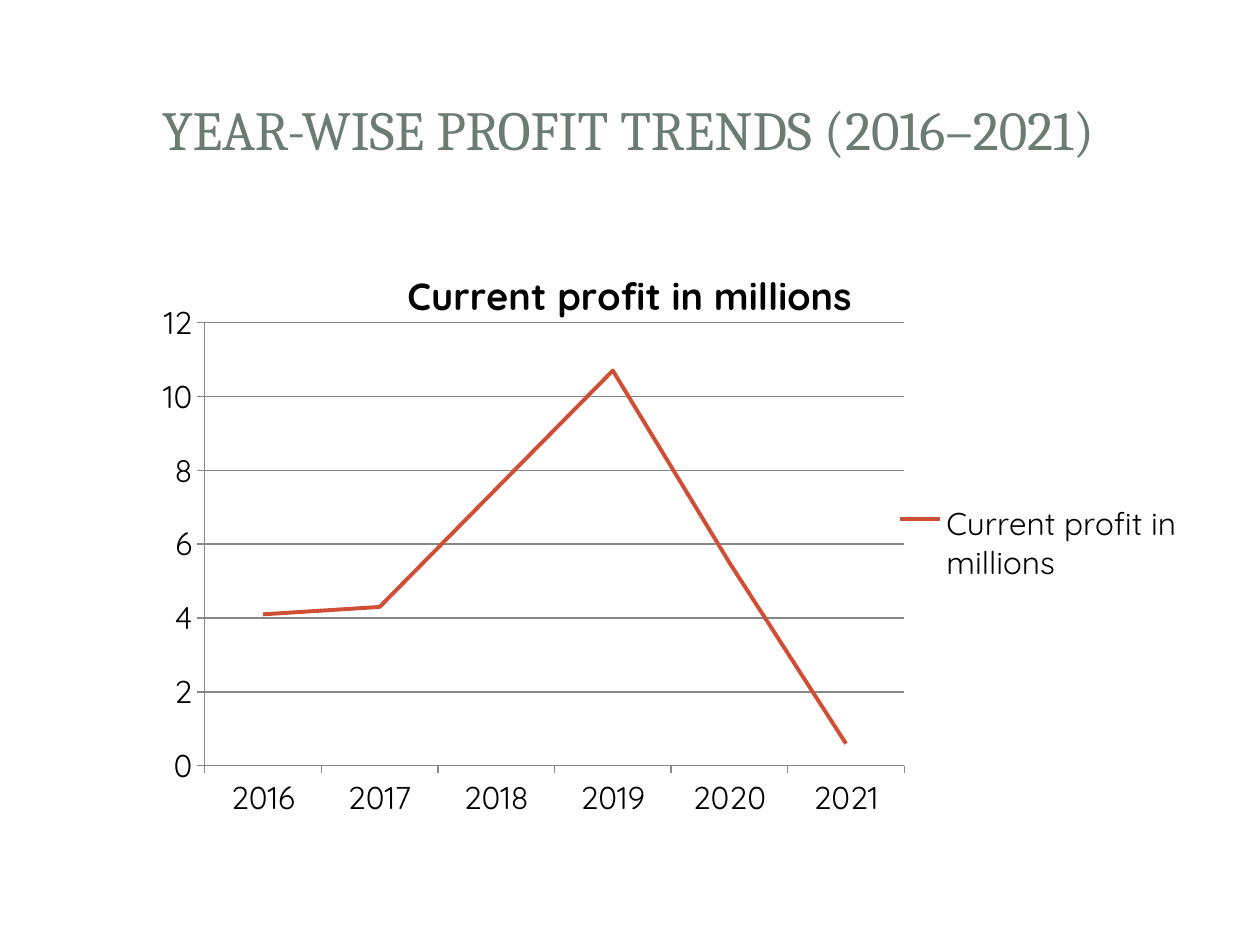
import lxml.etree
import pptx
import pptx.chart.data
import pptx.dml.color
import pptx.enum.chart
import pptx.enum.shapes
import pptx.enum.text
import pptx.oxml.ns
import pptx.util
from pptx.util import Inches

PROFITS = {"2016": 4.1, "2017": 4.3, "2018": 7.5, "2019": 10.7, "2020": 5.5, "2021": 0.6}
MEASURE = "Current profit in millions"


def color(value):
    return pptx.dml.color.RGBColor.from_string(value)


def style_font(font, name, size, value, bold=False):
    font.name = name
    font.size = pptx.util.Pt(size)
    font.bold = bold
    font.color.rgb = color(value)


def style_line(line, value, width):
    line.color.rgb = color(value)
    line.width = pptx.util.Pt(width)


def place_panel(page, left, top, width, height, opacity=100):
    panel = page.shapes.add_shape(
        pptx.enum.shapes.MSO_SHAPE.RECTANGLE, left, top, width, height)
    panel.shadow.inherit = False
    panel.line.fill.background()
    panel.fill.solid()
    panel.fill.fore_color.rgb = color("FFFFFF")
    if opacity < 100:
        fill_color = panel._element.spPr.find(".//" + pptx.oxml.ns.qn("a:srgbClr"))
        alpha = lxml.etree.SubElement(fill_color, pptx.oxml.ns.qn("a:alpha"))
        alpha.set("val", str(opacity * 1000))


def place_title(page, left, top, width, height):
    title = page.shapes.title
    page.shapes._spTree.append(title._element)
    title.left, title.top, title.width, title.height = left, top, width, height
    frame = title.text_frame
    frame.text = "YEAR-WISE PROFIT TRENDS (2016–2021)"
    frame.word_wrap = True
    frame.vertical_anchor = pptx.enum.text.MSO_ANCHOR.MIDDLE
    para = frame.paragraphs[0]
    para.alignment = pptx.enum.text.PP_ALIGN.CENTER
    style_font(para.runs[0].font, "Cambria", 31.5, "6B7D72")


def set_plot_layout(chart, left, top, width, height):
    plot_area = chart._chartSpace.chart.plotArea
    for old_layout in plot_area.findall(pptx.oxml.ns.qn("c:layout")):
        plot_area.remove(old_layout)
    layout = lxml.etree.Element(pptx.oxml.ns.qn("c:layout"))
    manual = lxml.etree.SubElement(layout, pptx.oxml.ns.qn("c:manualLayout"))
    settings = {"layoutTarget": "inner", "xMode": "edge", "yMode": "edge",
                "x": left, "y": top, "w": width, "h": height}
    for tag, value in settings.items():
        lxml.etree.SubElement(manual, pptx.oxml.ns.qn("c:" + tag)).set("val", str(value))
    plot_area.insert(0, layout)


def place_profit_chart(page, left, top, width, height):
    data = pptx.chart.data.CategoryChartData()
    data.categories = list(PROFITS)
    data.add_series(MEASURE, list(PROFITS.values()))
    chart = page.shapes.add_chart(
        pptx.enum.chart.XL_CHART_TYPE.LINE, left, top, width, height, data).chart
    style_font(chart.font, "Quicksand", 18, "000000")

    chart.has_title = True
    chart.chart_title.include_in_layout = False
    chart.chart_title.text_frame.text = MEASURE
    span = chart.chart_title.text_frame.paragraphs[0].runs[0]
    style_font(span.font, "Quicksand", 21.6, "000000", bold=True)

    chart.has_legend = True
    chart.legend.position = pptx.enum.chart.XL_LEGEND_POSITION.RIGHT
    chart.legend.include_in_layout = False

    for axis in (chart.category_axis, chart.value_axis):
        axis.major_tick_mark = pptx.enum.chart.XL_TICK_MARK.OUTSIDE
        axis.minor_tick_mark = pptx.enum.chart.XL_TICK_MARK.NONE
        style_line(axis.format.line, "878787", 0.75)
    values = chart.value_axis
    values.minimum_scale, values.maximum_scale, values.major_unit = 0, 12, 2
    values.has_major_gridlines = True
    style_line(values.major_gridlines.format.line, "878787", 0.75)

    chart.plots[0].vary_by_categories = False
    series = chart.plots[0].series[0]
    series.smooth = False
    series.marker.style = pptx.enum.chart.XL_MARKER_STYLE.NONE
    style_line(series.format.line, "CF4F36", 2.25)
    set_plot_layout(chart, 0.125, 0.134, 0.617, 0.736)


def main():
    deck = pptx.Presentation()
    deck.slide_width, deck.slide_height = Inches(10), Inches(7.5)
    page = deck.slides.add_slide(deck.slide_layouts[5])
    page.background.fill.solid()
    page.background.fill.fore_color.rgb = color("FFFFFF")
    place_panel(page, Inches(0.3), Inches(0.3), Inches(9.4), Inches(1.45), opacity=83)
    place_panel(page, Inches(0.41), Inches(0.41), Inches(9.17), Inches(1.22))
    place_title(page, Inches(0.47), Inches(0.45), Inches(9.03), Inches(1.14))
    place_profit_chart(page, Inches(0.5), Inches(1.92), Inches(9), Inches(4.78))
    deck.save("out.pptx")


if __name__ == "__main__":
    main()
